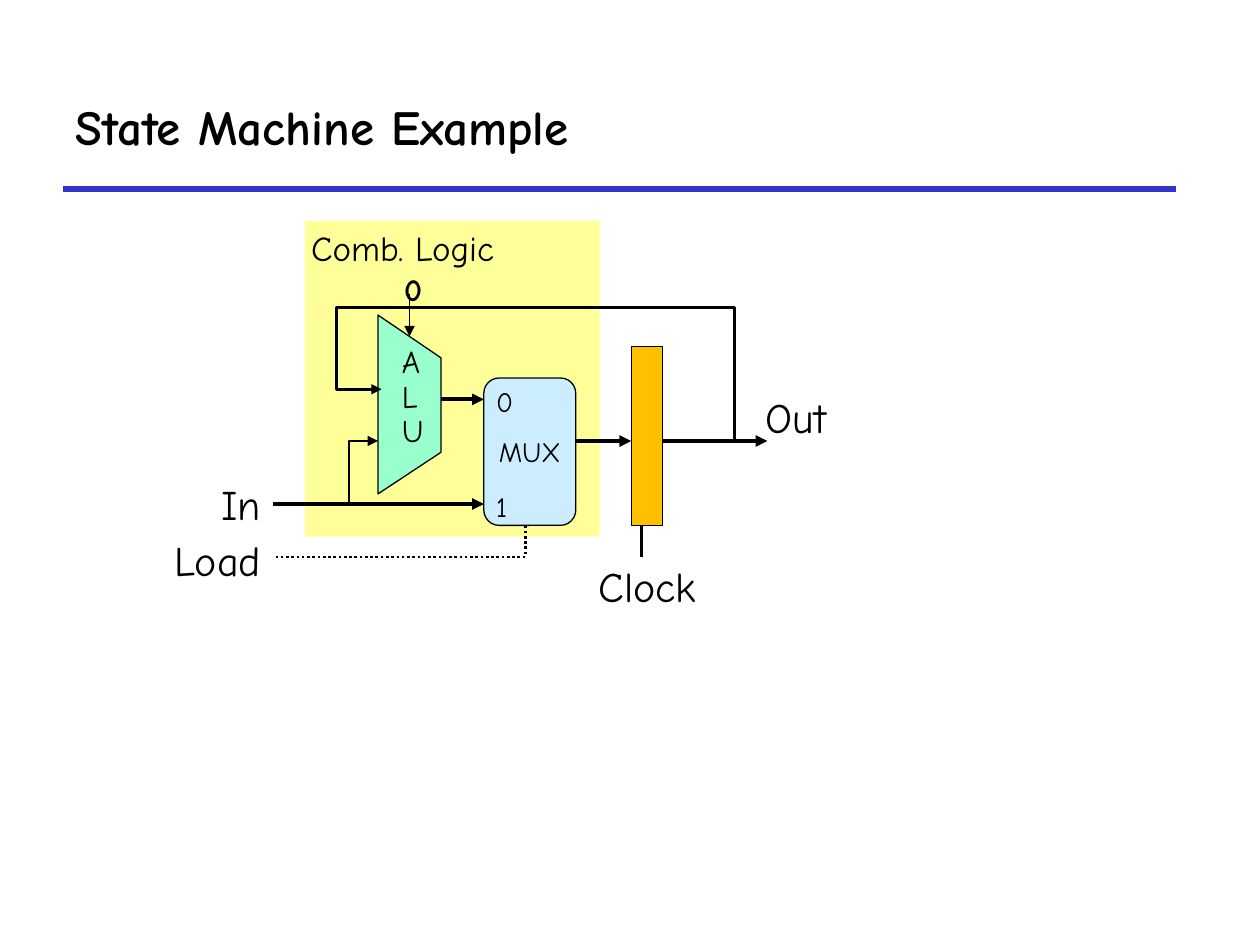
from lxml.etree import SubElement
from pptx import Presentation
from pptx.dml.color import RGBColor
from pptx.enum.dml import MSO_LINE
from pptx.enum.shapes import MSO_CONNECTOR, MSO_SHAPE
from pptx.enum.text import MSO_ANCHOR, PP_ALIGN
from pptx.oxml.ns import qn
from pptx.util import Pt

PX = 9144
FONT = "Comic Neue"
HUES = {
    "ink": "000000", "rule": "3333CC", "logic": "FFFF99",
    "alu": "99FFCC", "mux": "CCECFF", "clock": "FFC000",
}


def write(shape, text, size=24, bold=False, align=PP_ALIGN.LEFT,
          anchor=MSO_ANCHOR.TOP, side=10, wrap=True, lead=None, gap=0):
    frame = shape.text_frame
    frame.word_wrap = wrap
    frame.vertical_anchor = anchor
    frame.margin_left = frame.margin_right = side * PX
    frame.margin_top = frame.margin_bottom = 5 * PX
    frame.text = text
    for i, para in enumerate(frame.paragraphs):
        para.alignment = align
        para.line_spacing = lead
        para.space_before = Pt(gap if i else 0)
        para.font.name = FONT
        para.font.size = Pt(size)
        para.font.bold = bold
        para.font.color.rgb = RGBColor.from_string(HUES["ink"])


def draw(points, width=1.5, hue="ink", fill=None, arrow=False, dash=None):
    if len(points) == 2:
        (x1, y1), (x2, y2) = points
        item = shapes.add_connector(
            MSO_CONNECTOR.STRAIGHT, x1 * PX, y1 * PX, x2 * PX, y2 * PX)
        SubElement(item.line._get_or_add_ln().getparent(), qn("a:effectLst"))
    else:
        path = shapes.build_freeform(*points[0], scale=PX)
        path.add_line_segments(points[1:], close=bool(fill))
        item = path.convert_to_shape()
        item.shadow.inherit = False
        if fill:
            item.fill.solid()
            item.fill.fore_color.rgb = RGBColor.from_string(HUES[fill])
        else:
            item.fill.background()
    item.line.color.rgb = RGBColor.from_string(HUES[hue])
    item.line.width = Pt(width)
    if dash:
        item.line.dash_style = dash
    if arrow:
        SubElement(item.line._get_or_add_ln(), qn("a:tailEnd"), type="triangle")


deck = Presentation()
deck.slide_width, deck.slide_height = 1000 * PX, 750 * PX
slide = deck.slides.add_slide(deck.slide_layouts[5])
shapes = slide.shapes

title = shapes.title
title.left, title.top, title.width, title.height = 50 * PX, 50 * PX, 883 * PX, 100 * PX
write(title, "State Machine Example", size=28, bold=True, anchor=MSO_ANCHOR.MIDDLE)
draw([(50, 150), (933, 150)], width=3, hue="rule")

blocks = {}
for name, kind, x, y, w, h in [
    ("logic", MSO_SHAPE.RECTANGLE, 242, 175, 234, 251),
    ("mux", MSO_SHAPE.ROUNDED_RECTANGLE, 384, 300, 73, 117),
    ("clock", MSO_SHAPE.RECTANGLE, 501, 275, 25, 142),
]:
    block = shapes.add_shape(kind, x * PX, y * PX, w * PX, h * PX)
    block.shadow.inherit = False
    block.fill.solid()
    block.fill.fore_color.rgb = RGBColor.from_string(HUES[name])
    if name == "logic":
        block.line.fill.background()
    else:
        block.line.color.rgb = RGBColor.from_string(HUES["ink"])
        block.line.width = Pt(0.75)
    blocks[name] = block
write(blocks["logic"], "Comb. Logic", size=20, side=5)
write(blocks["mux"], "MUX", size=16, align=PP_ALIGN.CENTER,
      anchor=MSO_ANCHOR.MIDDLE, wrap=False)

draw([(300, 250), (350, 284), (350, 359), (300, 392)], width=0.75, fill="alu")

for start, end in [
    ((217, 400), (384, 400)),
    ((350, 317), (384, 317)),
    ((457, 350), (501, 350)),
    ((526, 350), (609, 350)),
]:
    draw([start, end], width=2.25, arrow=True)
draw([(325, 233), (325, 267)], width=1, arrow=True)
draw([(277, 400), (277, 350), (300, 350)], arrow=True)
draw([(547, 350), (583, 350), (583, 244), (267, 244), (267, 309), (303, 309)],
     arrow=True)
draw([(417, 417), (417, 442), (217, 442)], dash=MSO_LINE.ROUND_DOT)
draw([(509, 417), (509, 442)])

for text, x, y, w, h, look in [
    ("A\nL\nU", 309, 275, 42, 86, dict(size=18, lead=0.7, gap=4.5)),
    ("0", 311, 209, 35, 41, dict(size=18, bold=True, wrap=False)),
    ("0", 384, 300, 50, 37, dict(size=16)),
    ("1", 384, 384, 50, 37, dict(size=16)),
    ("Out", 598, 306, 69, 51, dict(wrap=False)),
    ("Clock", 470, 440, 88, 51, dict(side=5, wrap=False)),
    ("In", 134, 375, 83, 51, dict(align=PP_ALIGN.RIGHT)),
    ("Load", 100, 419, 117, 51, dict(align=PP_ALIGN.RIGHT)),
]:
    write(shapes.add_textbox(x * PX, y * PX, w * PX, h * PX), text, **look)

deck.save("out.pptx")
